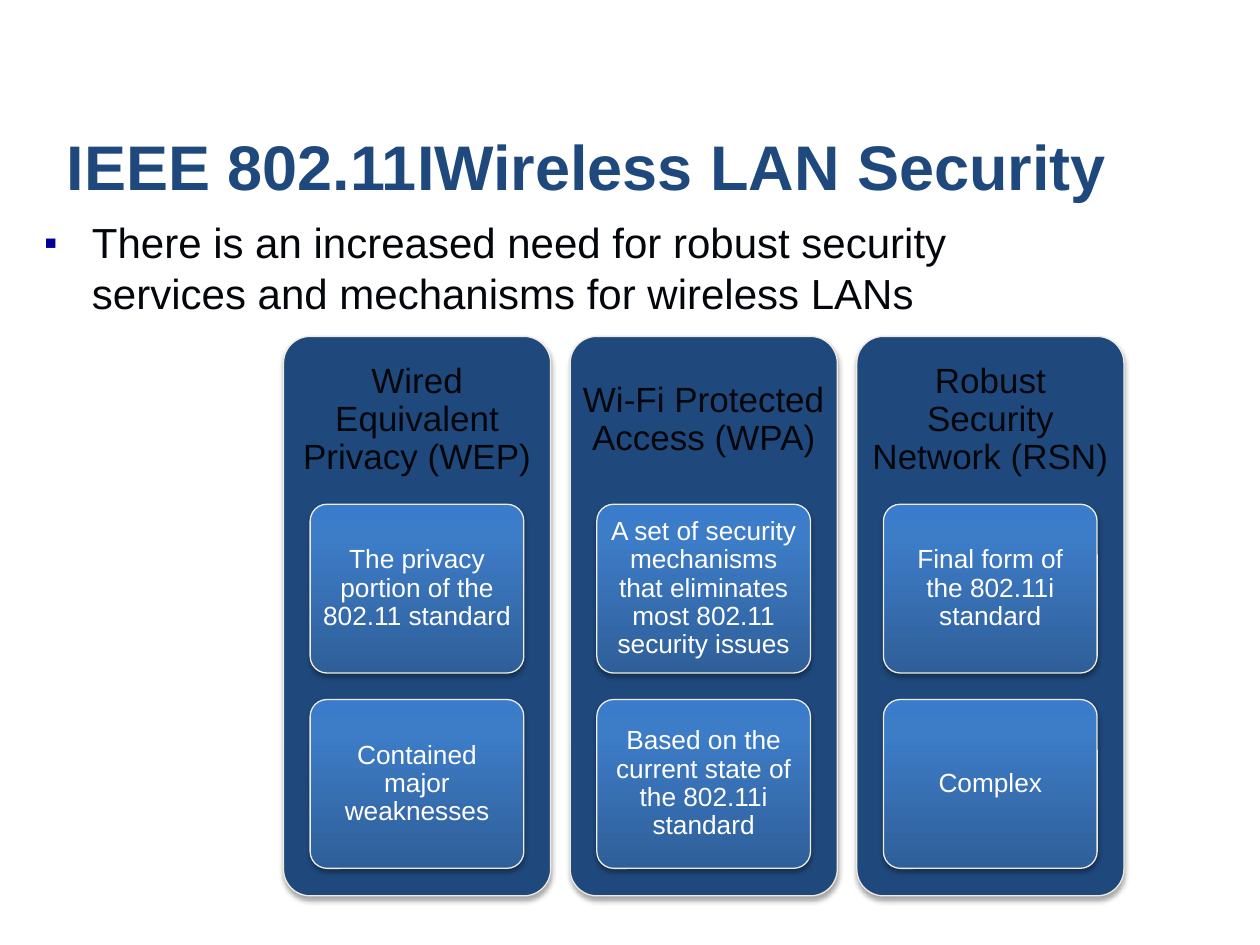
from lxml import etree
from pptx import Presentation
from pptx.dml.color import RGBColor
from pptx.enum.shapes import MSO_SHAPE
from pptx.enum.text import MSO_ANCHOR, MSO_AUTO_SIZE, PP_ALIGN
from pptx.oxml import parse_xml
from pptx.oxml.ns import nsdecls, qn
from pptx.util import Inches, Pt

ROUNDED = MSO_SHAPE.ROUNDED_RECTANGLE
MIDDLE, BOTTOM = MSO_ANCHOR.MIDDLE, MSO_ANCHOR.BOTTOM
LEFT, CENTER = PP_ALIGN.LEFT, PP_ALIGN.CENTER
NO_AUTOFIT = MSO_AUTO_SIZE.NONE

NAVY = RGBColor(0x1F, 0x49, 0x7D)
INK = RGBColor(0x03, 0x07, 0x0C)
WHITE = RGBColor(0xFF, 0xFF, 0xFF)
CREAM = RGBColor(0xEE, 0xEC, 0xE1)
BULLET_BLUE = RGBColor(0x00, 0x00, 0x99)
CARD_STOPS = (
    (0, RGBColor(0x2F, 0x5F, 0x99)),
    (80, RGBColor(0x3D, 0x7C, 0xC7)),
    (100, RGBColor(0x3A, 0x7C, 0xCB)),
)
FONT = "Arial"

STANDARDS = (
    ("Wired Equivalent Privacy (WEP)",
     ("The privacy portion of the 802.11 standard",
      "Contained major weaknesses")),
    ("Wi-Fi Protected Access (WPA)",
     ("A set of security mechanisms that eliminates most 802.11 security issues",
      "Based on the current state of the 802.11i standard")),
    ("Robust Security Network (RSN)",
     ("Final form of the 802.11i standard",
      "Complex")),
)


def place(shape, left, top, width, height):
    shape.left, shape.top = Inches(left), Inches(top)
    shape.width, shape.height = Inches(width), Inches(height)


def style_font(font, size, color, bold=False):
    font.name, font.size, font.bold = FONT, Pt(size), bold
    font.color.rgb = color


def add_title(page, left, top, width, height):
    title = page.shapes.title
    place(title, left, top, width, height)
    frame = title.text_frame
    frame.auto_size = NO_AUTOFIT
    frame.vertical_anchor = BOTTOM
    para = frame.paragraphs[0]
    para.alignment = LEFT
    for text, caps in (("IEEE 802.11", "none"), ("I", "small"),
                       (" Wireless LAN Security", "none")):
        span = para.add_run()
        span.text = text
        style_font(span.font, 36, NAVY, bold=True)
        span.font._element.set("cap", caps)


def add_body(page, left, top, width, height):
    body = page.placeholders[1]
    place(body, left, top, width, height)
    frame = body.text_frame
    frame.auto_size = NO_AUTOFIT
    para = frame.paragraphs[0]
    para.text = ("There is an increased need for robust security services "
                 "and mechanisms for wireless LANs")
    para.space_before = Pt(0)
    # Small square bullet with a hanging indent
    properties = para._p.get_or_add_pPr()
    properties.set("marL", str(Inches(0.38)))
    properties.set("indent", str(Inches(-0.38)))
    color = etree.SubElement(properties, qn("a:buClr"))
    etree.SubElement(color, qn("a:srgbClr"), val=str(BULLET_BLUE))
    etree.SubElement(properties, qn("a:buSzPct"), val="90000")
    etree.SubElement(properties, qn("a:buFont"), typeface=FONT)
    etree.SubElement(properties, qn("a:buChar"), char="▪")
    style_font(para.runs[0].font, 24, INK)


def add_rounded_box(group, left, top, width, height):
    box = group.shapes.add_shape(ROUNDED, Inches(left), Inches(top),
                                 Inches(width), Inches(height))
    box.adjustments[0] = 0.1
    box.line.color.rgb = CREAM
    box.line.width = Pt(0.75)
    # Soft shadow falling straight down
    box.shadow.inherit = False
    effects = box._element.spPr.find(qn("a:effectLst"))
    effects.append(parse_xml(
        f'<a:outerShdw {nsdecls("a")} blurRad="{Pt(3.1)}" dist="{Pt(1.8)}" '
        'dir="5400000" rotWithShape="0"><a:srgbClr val="000000">'
        '<a:alpha val="35000"/></a:srgbClr></a:outerShdw>'))
    return box


def fill_with_gradient(box):
    box.fill.gradient()
    box.fill.gradient_angle = 90
    stops = box._element.spPr.find(qn("a:gradFill")).find(qn("a:gsLst"))
    for stop in list(stops):
        stops.remove(stop)
    for position, color in CARD_STOPS:
        stop = etree.SubElement(stops, qn("a:gs"), pos=str(position * 1000))
        etree.SubElement(stop, qn("a:srgbClr"), val=str(color))


def set_label(box, text, size, color, inset_x, inset_y):
    frame = box.text_frame
    frame.word_wrap = True
    frame.vertical_anchor = MIDDLE
    frame.margin_left = frame.margin_right = Inches(inset_x)
    frame.margin_top = frame.margin_bottom = Inches(inset_y)
    para = frame.paragraphs[0]
    para.text = text
    para.alignment = CENTER
    para.line_spacing = 0.9
    style_font(para.runs[0].font, size, color)


def add_standard(group, heading, points, left, top, width, height):
    # Panel with its heading in the top 30 percent
    panel = add_rounded_box(group, left, top, width, height)
    panel.fill.solid()
    panel.fill.fore_color.rgb = NAVY
    heading_height = height * 0.3
    label = group.shapes.add_textbox(Inches(left), Inches(top),
                                     Inches(width), Inches(heading_height))
    set_label(label, heading, 20, INK, 0.08, 0.08)

    # Cards stacked below, inset by a tenth of the panel width
    card_height, card_pitch = 1.34, 1.55
    for row, point in enumerate(points):
        card = add_rounded_box(group, left + width * 0.1,
                               top + heading_height + row * card_pitch,
                               width * 0.8, card_height)
        fill_with_gradient(card)
        set_label(card, point, 15, WHITE, 0.06, 0.05)


def add_standards(page, left, top, width, height):
    group = page.shapes.add_group_shape()
    panel_width = 2.12
    pitch = (width - panel_width) / (len(STANDARDS) - 1)
    for column, (heading, points) in enumerate(STANDARDS):
        add_standard(group, heading, points, left + column * pitch, top,
                     panel_width, height)


def main():
    deck = Presentation()
    deck.slide_width, deck.slide_height = Inches(10), Inches(7.5)
    page = deck.slides.add_slide(deck.slide_layouts[1])
    add_title(page, 0.43, 1, 9.21, 0.66)
    add_body(page, 0.25, 1.67, 8.29, 5.03)
    add_standards(page, 2.25, 2.67, 6.67, 4.44)
    deck.save("out.pptx")


if __name__ == "__main__":
    main()
